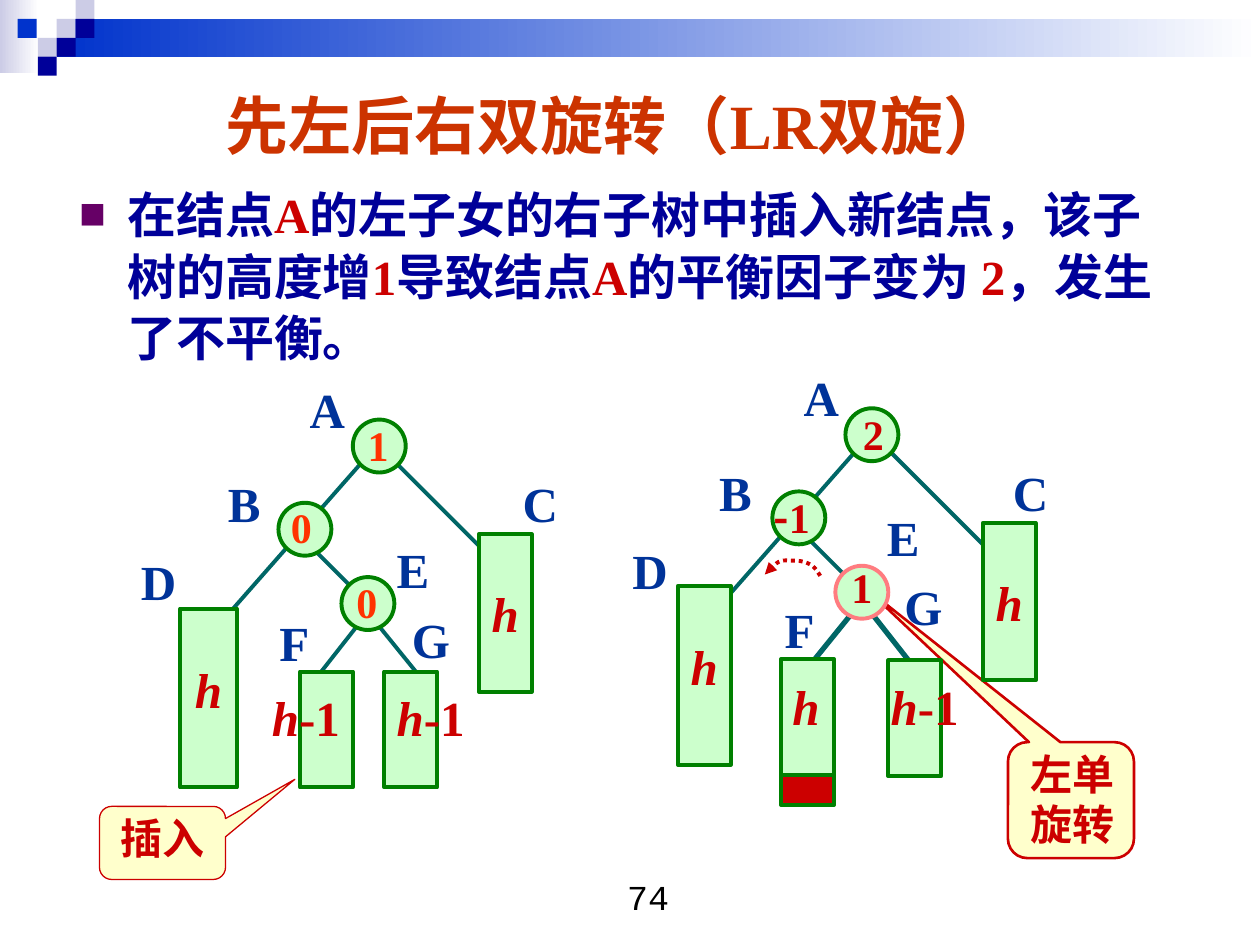
"""Build a slide on the left-then-right double rotation of a balanced tree."""
from lxml import etree
from pptx import Presentation
from pptx import util as u
from pptx.dml.color import RGBColor
from pptx.enum import dml, shapes, text
from pptx.oxml import ns

THEME = {
    "latin": "Times New Roman", "asian": "Noto Sans CJK SC", "mono": "Courier New",
    "title": "CC3300", "body": "000099", "accent": "CC0000", "bullet": "660066",
    "name": "003399", "balance": "FF3300", "edge": "006666", "node": "CCFFCC",
    "outline": "008000", "changed": "FF7C80", "callout": "FFFFCC",
    "blue": "0033CC", "navy": "000099", "lilac": "CCCCE6", "white": "FFFFFF", "black": "000000",
    "title_size": 36, "text_size": 28, "small_size": 24, "number_size": 20,
}
Inches = u.Inches
MIDDLE, CENTER = text.MSO_ANCHOR.MIDDLE, text.PP_ALIGN.CENTER


def write(shape, paragraphs, size, color, frame_format=None, paragraph_format=None):
    frame = shape.text_frame
    for key, value in {"word_wrap": True, **(frame_format or {})}.items():
        setattr(frame, key, value)
    for index, runs in enumerate(paragraphs):
        paragraph = frame.add_paragraph() if index else frame.paragraphs[0]
        for key, value in (paragraph_format or {}).items():
            setattr(paragraph, key, value)
        for words, changes in runs:
            run = paragraph.add_run()
            run.text = words
            look = {"size": u.Pt(THEME[size]), "name": THEME["latin"], "bold": True, **changes}
            run_color = look.pop("color", color)
            for key, value in look.items():
                setattr(run.font, key, value)
            run.font.color.rgb = RGBColor.from_string(THEME[run_color])
            asian = etree.SubElement(run.font._element, ns.qn("a:ea"))
            asian.set("typeface", THEME["asian"])


def draw(kind, box, fill, line=None, width=2.25):
    shape = slide.shapes.add_shape(kind, *map(Inches, box))
    shape.shadow.inherit = False
    shape.fill.solid()
    shape.fill.fore_color.rgb = RGBColor.from_string(THEME[fill])
    if line:
        shape.line.color.rgb = RGBColor.from_string(THEME[line])
        shape.line.width = u.Pt(width)
    else:
        shape.line.fill.background()
    return shape


presentation = Presentation()
presentation.slide_width, presentation.slide_height = Inches(10), Inches(7.5)
slide = presentation.slides.add_slide(presentation.slide_layouts[1])
RECT, OVAL = shapes.MSO_SHAPE.RECTANGLE, shapes.MSO_SHAPE.OVAL

for box, start in [((0, 0, 0.31, 0.58), "lilac"), ((0.45, 0.15, 9.55, 0.3), "blue")]:
    band = draw(RECT, box, start)
    band.fill.gradient()
    band.fill.gradient_angle = 0
    for stop, color in zip(band.fill.gradient_stops, (start, "white")):
        stop.color.rgb = RGBColor.from_string(THEME[color])
for left, top, color in [
    (0.45, 0.15, "lilac"), (0.6, 0, "lilac"), (0.6, 0.15, "navy"), (0.3, 0.3, "lilac"),
    (0.14, 0.15, "blue"), (0.45, 0.3, "navy"), (0.3, 0.45, "navy"),
]:
    draw(RECT, (left, top, 0.15, 0.15), color)

for box, tip, width, label_box, lines in [
    ((0.79, 6.4, 1, 0.58), (1.05, -0.87), 0.75, (0.86, 6.4, 0.99, 0.5), ["插入"]),
    ((8, 5.89, 1, 0.92), (-1.63, -1.83), 1.5, (8.08, 5.89, 1, 0.9), ["左单", "旋转"]),
]:
    callout = draw(shapes.MSO_SHAPE.ROUNDED_RECTANGULAR_CALLOUT, box, "callout", "accent", width)
    callout.adjustments[0], callout.adjustments[1] = tip
    label = slide.shapes.add_textbox(*map(Inches, label_box))
    write(label, [[(line, {})] for line in lines], "small_size", "accent")

HEIGHT = ("h", {"italic": True})
LESS = ("-1", {})
trees = [
    {
        "edges": [(2.96, 4.91, 3.3, 5.33, 2.25), (2.88, 4.91, 2.55, 5.33, 2.25),
                  (3.13, 3.66, 3.88, 4.41, 2.25), (2.88, 3.66, 1.71, 4.99, 2.25),
                  (2.46, 4.33, 2.96, 4.83, 2.25)],
        "subtrees": [(3.8, 4.24, 0.42, 1.25, 1), (1.43, 4.83, 0.45, 1.42, 0.6),
                     (2.38, 5.33, 0.42, 0.92, None), (3.05, 5.33, 0.42, 0.92, None)],
        "nodes": [(2.21, 3.99, "outline"), (2.8, 3.33, "outline"), (2.71, 4.58, "outline")],
        "names": [("A", 2.36, 2.96), ("B", 1.71, 3.71), ("C", 4.05, 3.71), ("D", 1.02, 4.33),
                  ("E", 3.05, 4.23), ("F", 2.12, 4.81), ("G", 3.17, 4.79)],
        "heights": [(3.05, 5.41, 0.74, [HEIGHT, LESS]), (2.06, 5.41, 0.74, [HEIGHT, LESS])],
        "balances": [("1", 2.82, 3.28), ("0", 2.21, 3.93), ("0", 2.73, 4.53)],
        "balance_color": "balance",
    },
    {
        "edges": [(6.8, 4.82, 6.46, 5.24, 3), (6.88, 4.82, 7.21, 5.24, 3),
                  (7.05, 3.57, 7.8, 4.32, 2.25), (6.8, 3.57, 5.63, 4.9, 2.25),
                  (6.38, 4.24, 6.88, 4.74, 2.25)],
        "subtrees": [(7.8, 4.15, 0.42, 1.25, 1), (5.38, 4.65, 0.42, 1.42, 0.6),
                     (6.2, 5.23, 0.42, 0.92, None), (7.05, 5.24, 0.42, 0.92, None)],
        "nodes": [(6.13, 3.9, "outline"), (6.71, 3.24, "outline"), (6.63, 4.49, "changed")],
        "names": [("A", 6.28, 2.87), ("B", 5.61, 3.62), ("C", 7.94, 3.62), ("D", 4.92, 4.24),
                  ("E", 6.94, 3.98), ("F", 6.13, 4.71), ("G", 7.08, 4.53)],
        "heights": [(6.97, 5.32, 0.74, [HEIGHT, LESS]), (6.19, 5.32, 0.41, [HEIGHT])],
        "balances": [("2", 6.75, 3.19), ("-1", 6.04, 3.85), ("1", 6.66, 4.41)],
        "balance_color": "accent",
    },
]
name_widths = {"A": 0.48, "B": 0.46, "C": 0.48, "D": 0.48, "E": 0.46, "F": 0.44, "G": 0.5}
fitted = {"word_wrap": False, "auto_size": text.MSO_AUTO_SIZE.SHAPE_TO_FIT_TEXT}

for tree in trees:
    for *ends, width in tree["edges"]:
        edge = slide.shapes.add_connector(shapes.MSO_CONNECTOR.STRAIGHT, *map(Inches, ends))
        edge.line.color.rgb = RGBColor.from_string(THEME["edge"])
        edge.line.width = u.Pt(width)
        etree.SubElement(edge._element.spPr, ns.qn("a:effectLst"))
    for *box, spacing in tree["subtrees"]:
        subtree = draw(RECT, box, "node", "outline")
        if spacing:
            write(subtree, [[HEIGHT]], "text_size", "accent",
                  {"word_wrap": False, "vertical_anchor": MIDDLE},
                  {"alignment": CENTER, "line_spacing": spacing})
    for left, top, line in tree["nodes"]:
        draw(OVAL, (left, top, 0.42, 0.42), "node", line)
    labels = [(left, top, name_widths[name], 0.57, [(name, {})], "text_size", "name")
              for name, left, top in tree["names"]]
    labels += [(left, top, width, 0.57, runs, "text_size", "accent")
               for left, top, width, runs in tree["heights"]]
    for value, left, top in tree["balances"]:
        runs = [("-", {"name": THEME["asian"]}), ("1", {})] if value == "-1" else [(value, {})]
        labels.append((left, top, 0.2 * len(value) + 0.16, 0.5, runs,
                       "small_size", tree["balance_color"]))
    for *box, runs, size, color in labels:
        label = slide.shapes.add_textbox(*map(Inches, box))
        write(label, [runs], size, color, fitted)

draw(RECT, (6.2, 6.15, 0.42, 0.24), "accent", "outline")

curves = [
    [(6.51, 4.57), (6.49, 4.54), (6.47, 4.5), (6.43, 4.48)],
    [(6.43, 4.48), (6.4, 4.46), (6.35, 4.45), (6.31, 4.45)],
    [(6.31, 4.45), (6.26, 4.45), (6.22, 4.44), (6.18, 4.46)],
    [(6.18, 4.46), (6.14, 4.48), (6.09, 4.54), (6.07, 4.56)],
]
steps = 6
points = []
for curve in curves:
    for step in range(1, steps + 1):
        t = step / steps
        weights = ((1 - t) ** 3, 3 * t * (1 - t) ** 2, 3 * t ** 2 * (1 - t), t ** 3)
        points.append([Inches(sum(w * point[axis] for w, point in zip(weights, curve)))
                       for axis in (0, 1)])
builder = slide.shapes.build_freeform(*map(Inches, curves[0][0]))
builder.add_line_segments(points, close=False)
arc = builder.convert_to_shape()
arc.shadow.inherit = False
arc.fill.background()
arc.line.color.rgb = RGBColor.from_string(THEME["accent"])
arc.line.width = u.Pt(2.25)
arc.line.dash_style = dml.MSO_LINE.ROUND_DOT
etree.SubElement(arc.line._get_or_add_ln(), ns.qn("a:tailEnd")).set("type", "triangle")

title, body = slide.shapes.title, slide.placeholders[1]
for placeholder, box in [(title, (0.39, 0.48, 9, 1.02)), (body, (0.53, 1.39, 9, 5.2))]:
    for key, value in zip(("left", "top", "width", "height"), box):
        setattr(placeholder, key, Inches(value))
fixed = {"auto_size": text.MSO_AUTO_SIZE.NONE}
write(title, [[("先左后右双旋转（LR双旋）", {})]], "title_size", "title",
      {**fixed, "vertical_anchor": MIDDLE}, {"alignment": CENTER})

red = {"color": "accent"}
write(body, [[
    ("在结点", {}), ("A", red), ("的左子女的右子树中插入新结点，该子树的高度增", {}), ("1", red),
    ("导致结点", {}), ("A", red), ("的平衡因子变为 ", {}), ("2", red), ("，发生了不平衡。", {}),
]], "text_size", "body", fixed, {"line_spacing": 1.05, "space_before": u.Pt(0)})
properties = body.text_frame.paragraphs[0]._p.get_or_add_pPr()
properties.set("marL", str(Inches(0.38)))
properties.set("indent", str(-Inches(0.38)))
bullet_color = etree.SubElement(properties, ns.qn("a:buClr"))
etree.SubElement(bullet_color, ns.qn("a:srgbClr")).set("val", THEME["bullet"])
for tag, key, value in [("buSzPct", "val", "55000"), ("buFont", "typeface", THEME["asian"]),
                        ("buChar", "char", "■")]:
    etree.SubElement(properties, ns.qn(f"a:{tag}")).set(key, value)

number = slide.shapes.add_textbox(*map(Inches, (3.98, 6.9, 2.33, 0.52)))
write(number, [[("74", {"name": THEME["mono"], "bold": False})]], "number_size", "black",
      None, {"alignment": CENTER})

presentation.save("out.pptx")
